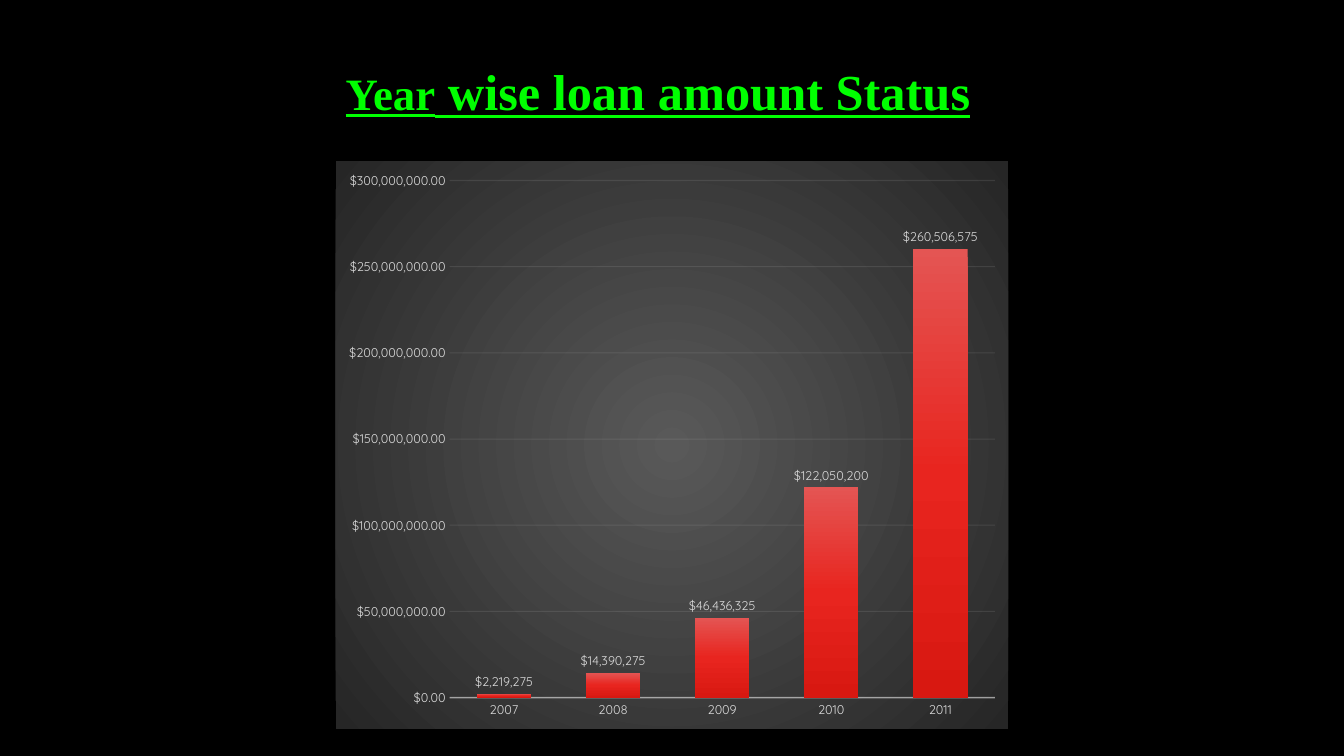
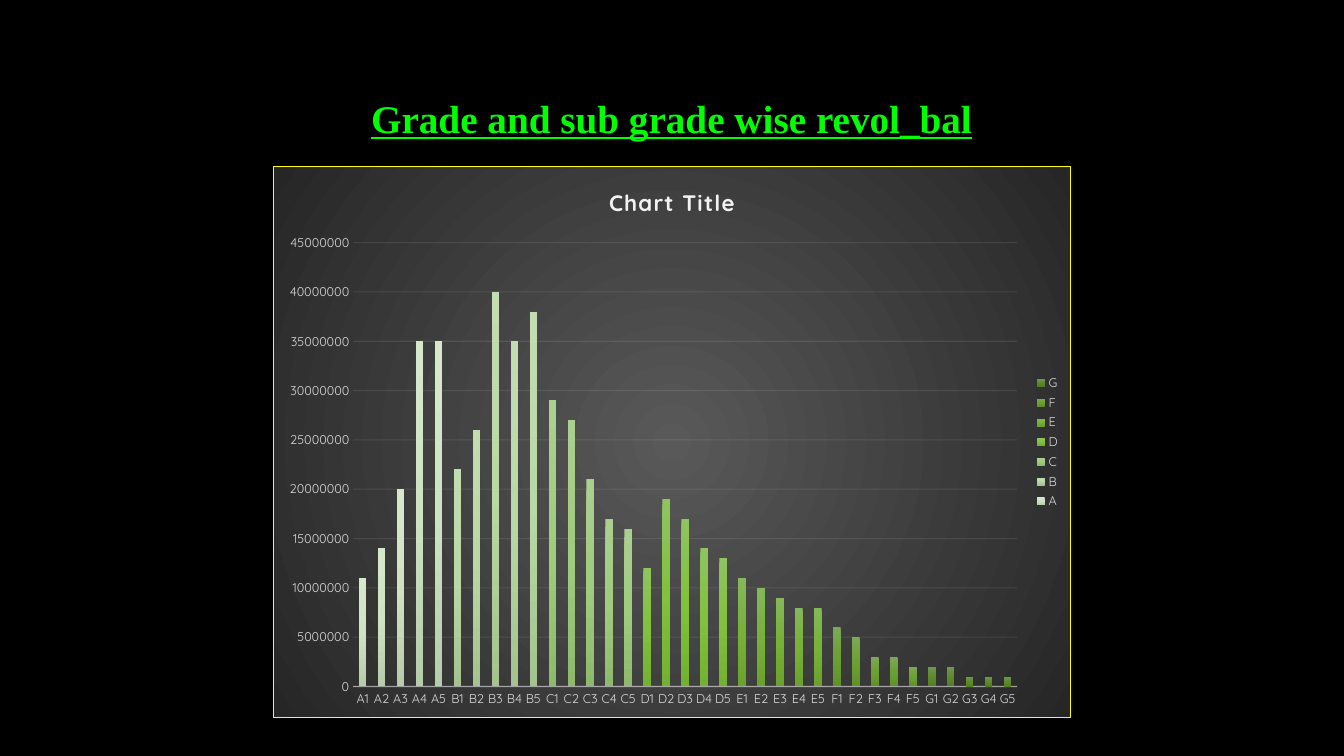
from lxml import etree
from pptx import Presentation
from pptx import util as u
from pptx.chart.data import CategoryChartData
from pptx.dml.color import RGBColor
from pptx.enum import chart as ch
from pptx.enum import text
from pptx.oxml import parse_xml
from pptx.oxml.ns import nsdecls, qn

TITLE_GREEN, BORDER_YELLOW = "00FF00", "FFFF00"
LABEL_GREY, LINE_GREY = "D9D9D9", "F2F2F2"
RADIAL = '<a:path path="circle"><a:fillToRect l="50000" t="50000" r="50000" b="50000"/></a:path>'
DOWNWARD = '<a:lin ang="5400000" scaled="0"/>'


def rgb(code):
    return RGBColor.from_string(code)


def gradient(colours, direction):
    step = 100000 // (len(colours) - 1)
    stops = "".join(f'<a:gs pos="{i * step}"><a:srgbClr val="{c}"/></a:gs>'
                    for i, c in enumerate(colours))
    return parse_xml(f'<a:gradFill {nsdecls("a")} rotWithShape="1">'
                     f'<a:gsLst>{stops}</a:gsLst>{direction}</a:gradFill>')


grade_millions = {
    "A": [11, 14, 20, 35, 35],
    "B": [22, 26, 40, 35, 38],
    "C": [29, 27, 21, 17, 16],
    "D": [12, 19, 17, 14, 13],
    "E": [11, 10, 9, 8, 8],
    "F": [6, 5, 3, 3, 2],
    "G": [2, 2, 1, 1, 1],
}
sub_grades = [f"{grade}{n}" for grade in grade_millions for n in range(1, 6)]
balance_series = {
    grade: [millions[int(sub[1]) - 1] * 1000000 if sub[0] == grade else None
            for sub in sub_grades]
    for grade, millions in grade_millions.items()
}

pages = [
    dict(title=[("Year", 32), (" wise loan amount Status", 36)],
         title_at=(3.33, 0.55, 6.67, 1.31), align=text.PP_ALIGN.LEFT,
         chart_at=(3.33, 1.6, 6.67, 5.63), kind=ch.XL_CHART_TYPE.COLUMN_CLUSTERED,
         categories=["2007", "2008", "2009", "2010", "2011"],
         series={"Series 1": [2219275, 14390275, 46436325, 122050200, 260506575]},
         colours=[("E45553", "E8251F", "D81811")],
         gap=100, overlap=-24, top=300000000, step=50000000,
         axis_format="[$$-1009]#,##0.00", label_format="[$$-1009]#,##0",
         chart_title=None, border=None),
    dict(title=[("Grade and sub grade wise revol_bal", 28)],
         title_at=(2.94, 0.89, 7.44, 1.25), align=text.PP_ALIGN.CENTER,
         chart_at=(2.71, 1.65, 7.91, 5.47), kind=ch.XL_CHART_TYPE.COLUMN_STACKED,
         categories=sub_grades, series=balance_series,
         colours=[("D7E7CC", "CFE3C2", "B7CCAA"), ("C3DCB2", "BAD8A5", "A5C38F"),
                  ("ABCF90", "A0CC7D", "8DBA6B"), ("8FC45F", "81C13C", "73B130"),
                  ("86B75B", "77B137", "6AA22C"), ("7DA858", "6BA032", "5F9328"),
                  ("729555", "5D8B2B", "537F22")],
         gap=150, overlap=100, top=45000000, step=5000000,
         axis_format="General", label_format=None,
         chart_title="Chart Title", border=BORDER_YELLOW),
]

prs = Presentation()
prs.slide_width, prs.slide_height = u.Inches(13.33), u.Inches(7.5)
backdrop = prs.slide_master.background.fill
backdrop.solid()
backdrop.fore_color.rgb = rgb("000000")

for page in pages:
    slide = prs.slides.add_slide(prs.slide_layouts[6])

    heading = slide.shapes.add_textbox(*map(u.Inches, page["title_at"])).text_frame
    heading.word_wrap = True
    heading.paragraphs[0].alignment = page["align"]
    for words, size in page["title"]:
        run = heading.paragraphs[0].add_run()
        run.text = words
        run.font.name, run.font.size = "Times New Roman", u.Pt(size)
        run.font.bold = run.font.underline = True
        run.font.color.rgb = rgb(TITLE_GREEN)

    data = CategoryChartData()
    data.categories = page["categories"]
    for name, values in page["series"].items():
        data.add_series(name, values)
    chart = slide.shapes.add_chart(
        page["kind"], *map(u.Inches, page["chart_at"]), data).chart
    chart.font.name, chart.font.size = "Quicksand", u.Pt(10)
    chart.font.color.rgb = rgb("FFFFFF")

    panel = parse_xml(f'<c:spPr {nsdecls("c", "a")}/>')
    panel.append(gradient(("595959", "262626"), RADIAL))
    frame = etree.SubElement(panel, qn("a:ln"), w=str(u.Pt(0.75)))
    if page["border"]:
        frame_fill = etree.SubElement(frame, qn("a:solidFill"))
        etree.SubElement(frame_fill, qn("a:srgbClr"), val=page["border"])
    else:
        etree.SubElement(frame, qn("a:noFill"))
    chart.element.find(qn("c:chart")).addnext(panel)

    years_or_grades, amounts = chart.category_axis, chart.value_axis
    small_fonts = [years_or_grades.tick_labels.font, amounts.tick_labels.font]
    for axis in (years_or_grades, amounts):
        axis.major_tick_mark = axis.minor_tick_mark = ch.XL_TICK_MARK.NONE
    amounts.minimum_scale, amounts.maximum_scale = 0, page["top"]
    amounts.major_unit = page["step"]
    amounts.tick_labels.number_format = page["axis_format"]
    amounts.tick_labels.number_format_is_linked = False
    amounts.has_major_gridlines = True
    amounts.format.line.fill.background()
    for line, width in ((years_or_grades.format.line, 1),
                        (amounts.major_gridlines.format.line, 0.75)):
        line.width = u.Pt(width)
        line.color.rgb = rgb(LINE_GREY)
    for axis_part, opacity in ((years_or_grades._element.find(qn("c:spPr")), 54),
                               (amounts._element.find(qn("c:majorGridlines")), 10)):
        colour = next(axis_part.iter(qn("a:srgbClr")))
        etree.SubElement(colour, qn("a:alpha"), val=str(opacity * 1000))

    plot = chart.plots[0]
    plot.gap_width, plot.overlap = page["gap"], page["overlap"]
    plot.vary_by_categories = False
    for bars, colours in zip(plot.series, page["colours"]):
        bars.format.line.fill.background()
        bars.invert_if_negative = False
        bars._element.find(qn("c:spPr")).insert(0, gradient(colours, DOWNWARD))

    if page["label_format"]:
        labels = plot.series[0].data_labels
        labels.show_value = True
        labels.position = ch.XL_LABEL_POSITION.OUTSIDE_END
        labels.number_format = page["label_format"]
        labels.number_format_is_linked = False
        small_fonts.append(labels.font)

    chart.has_title = bool(page["chart_title"])
    chart.has_legend = len(page["series"]) > 1
    if chart.has_title:
        caption = chart.chart_title.text_frame.paragraphs[0].add_run()
        caption.text = page["chart_title"]
        caption.font.name, caption.font.size = "Quicksand", u.Pt(16)
        caption.font.bold = True
        caption.font.color.rgb = rgb(LINE_GREY)
        caption.font._element.set("spc", "100")
        chart.chart_title.include_in_layout = False
    if chart.has_legend:
        chart.legend.position = ch.XL_LEGEND_POSITION.RIGHT
        chart.legend.include_in_layout = False
        small_fonts.append(chart.legend.font)

    for font in small_fonts:
        font.name, font.size = "Quicksand", u.Pt(9)
        font.color.rgb = rgb(LABEL_GREY)

prs.save("out.pptx")
